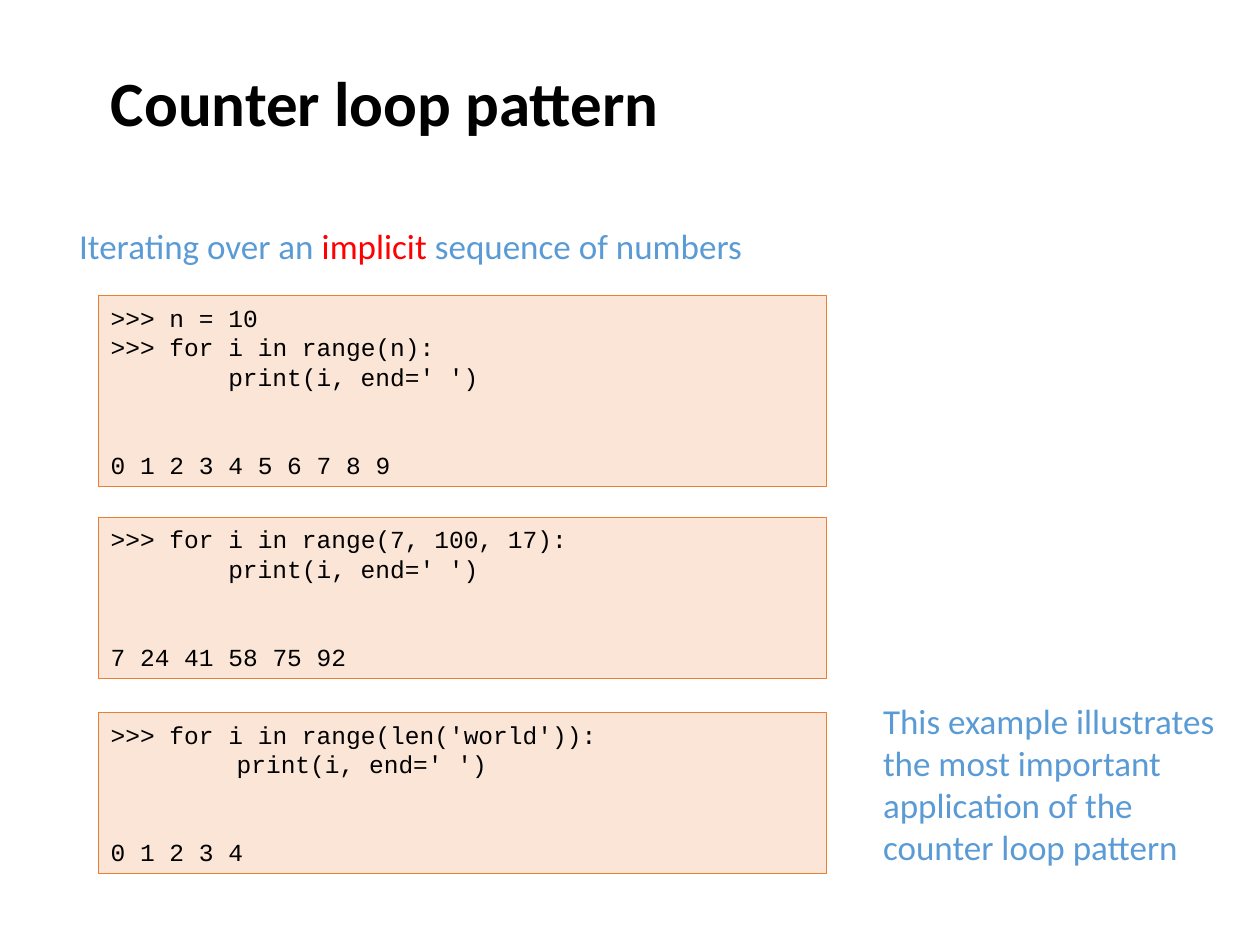
from pptx import Presentation
from pptx.dml.color import RGBColor
from pptx.enum.shapes import MSO_SHAPE
from pptx.enum.text import MSO_ANCHOR, MSO_AUTO_SIZE, PP_ALIGN
from pptx.util import Pt

RECTANGLE = MSO_SHAPE.RECTANGLE
MIDDLE = MSO_ANCHOR.MIDDLE
NO_AUTOFIT = MSO_AUTO_SIZE.NONE
LEFT = PP_ALIGN.LEFT
TITLE_ONLY = 5
BLACK, BLUE, RED = "000000", "5B9BD5", "FF0000"


def color(value):
    return RGBColor.from_string(value)


def add_text(paragraph, text, font="Calibri", size=20, fill=BLUE, bold=False):
    run = paragraph.add_run()
    run.text = text
    run.font.name = font
    run.font.size = Pt(size)
    run.font.bold = bold
    run.font.color.rgb = color(fill)


class SlideBuilder:
    code_style = {"font": "Courier New", "size": 14, "fill": BLACK}
    code_fill, code_border = "FBE5D6", "ED7D31"
    code_left, code_width, line_height = 56.16, 416.16, 16.8

    def __init__(self, slide):
        self.slide = slide

    def prepare(self, shape):
        frame = shape.text_frame
        frame.word_wrap = True
        frame.auto_size = NO_AUTOFIT
        frame.vertical_anchor = MIDDLE
        frame.paragraphs[0].alignment = LEFT
        return frame

    def title(self, text, left, top, width, height):
        shape = self.slide.shapes.title
        shape.left, shape.top = Pt(left), Pt(top)
        shape.width, shape.height = Pt(width), Pt(height)
        paragraph = self.prepare(shape).paragraphs[0]
        add_text(paragraph, text, size=36, fill=BLACK, bold=True)

    def note(self, parts, left, top, width, height):
        shape = self.slide.shapes.add_textbox(
            Pt(left), Pt(top), Pt(width), Pt(height))
        paragraph = self.prepare(shape).paragraphs[0]
        for text, fill in parts:
            add_text(paragraph, text, fill=fill)

    def code(self, prompts, body, result, top, height, indent):
        shape = self.slide.shapes.add_shape(
            RECTANGLE, Pt(self.code_left), Pt(top),
            Pt(self.code_width), Pt(height))
        shape.shadow.inherit = False
        shape.fill.solid()
        shape.fill.fore_color.rgb = color(self.code_fill)
        shape.line.color.rgb = color(self.code_border)
        shape.line.width = Pt(0.5)
        frame = self.prepare(shape)
        for number, line in enumerate([*prompts, body, result]):
            paragraph = frame.add_paragraph() if number else frame.paragraphs[0]
            paragraph.alignment = LEFT
            paragraph.line_spacing = Pt(self.line_height)
            add_text(paragraph, line, **self.code_style)
        body_paragraph, result_paragraph = frame.paragraphs[-2:]
        body_paragraph._p.get_or_add_pPr().set("marL", str(Pt(indent)))
        result_paragraph.space_before = Pt(2 * self.line_height)


presentation = Presentation()
presentation.slide_width, presentation.slide_height = Pt(720), Pt(540)
slide = presentation.slides.add_slide(presentation.slide_layouts[TITLE_ONLY])
builder = SlideBuilder(slide)

builder.title("Counter loop pattern", 56.16, 0, 612, 116)
builder.note([("Iterating over an ", BLUE), ("implicit ", RED),
              ("sequence of numbers", BLUE)], 38.16, 124.5, 643, 31.5)

examples = [
    ([">>> n = 10", ">>> for i in range(n):"],
     "0 1 2 3 4 5 6 7 8 9", 169, 109, 67.2),
    ([">>> for i in range(7, 100, 17):"],
     "7 24 41 58 75 92", 295.5, 92, 67.2),
    ([">>> for i in range(len('world')):"],
     "0 1 2 3 4", 407.25, 92, 72),
]
for prompts, result, top, height, indent in examples:
    builder.code(prompts, "print(i, end=' ')", result, top, height, indent)

builder.note([("This example illustrates the most important application "
               "of the counter loop pattern", BLUE)], 497.5, 395.5, 209, 104.5)

presentation.save("out.pptx")
